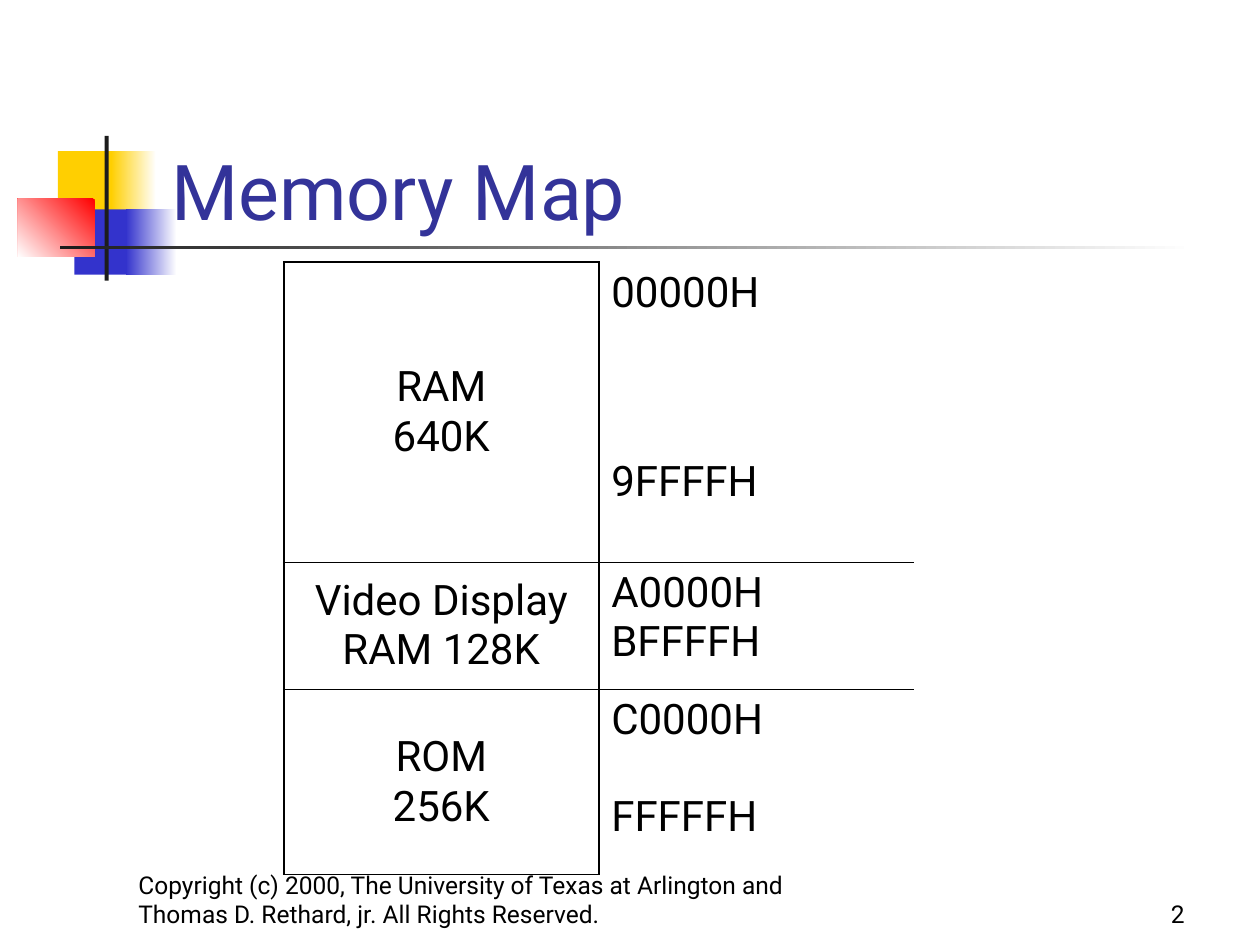
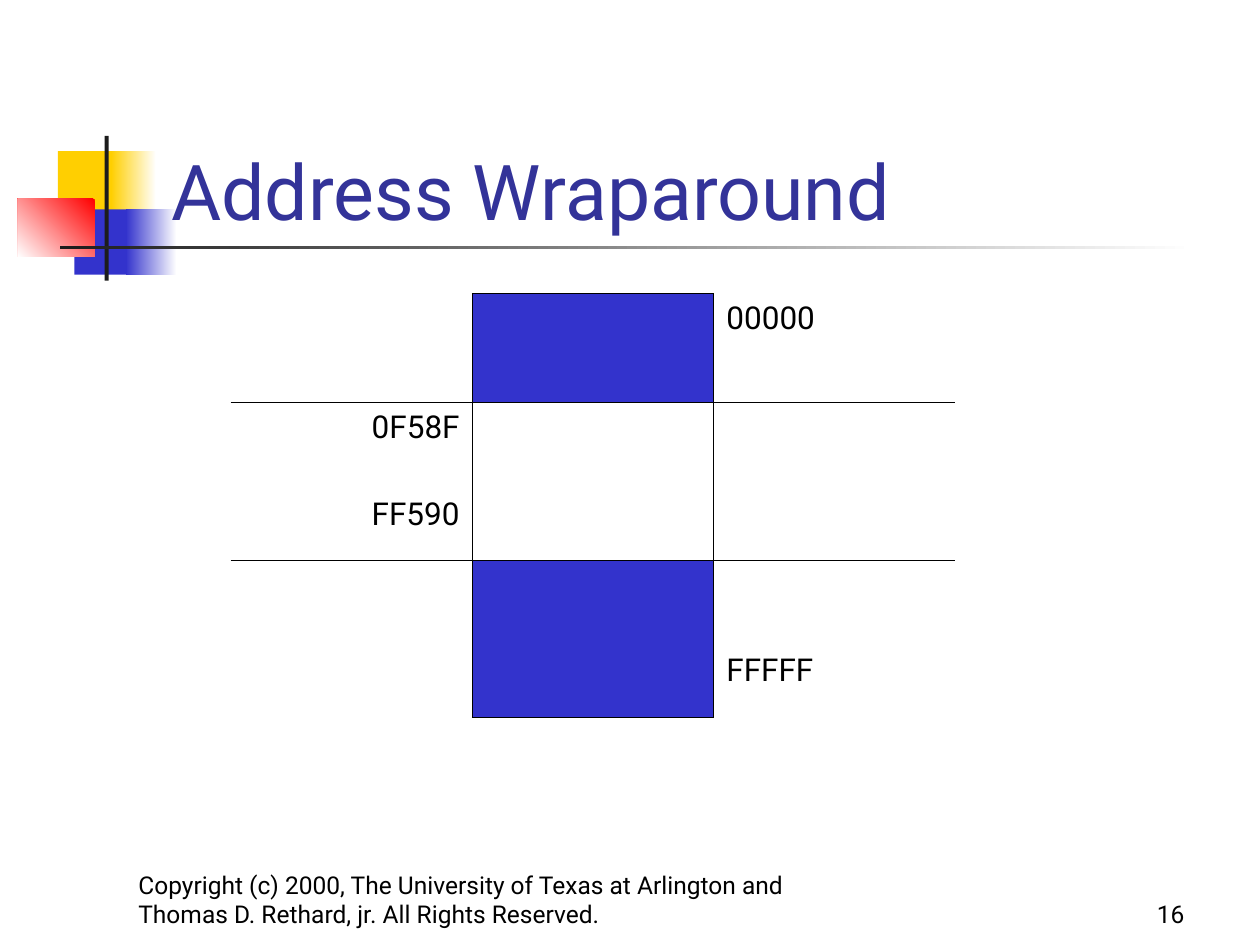
from lxml.etree import SubElement
from pptx import Presentation
from pptx.dml.color import RGBColor
from pptx.enum.shapes import MSO_SHAPE as Shape
from pptx.enum.text import MSO_ANCHOR as Anchor, MSO_AUTO_SIZE as AutoSize, PP_ALIGN as Align
from pptx.oxml.ns import qn
from pptx.util import Cm, Pt

# Shared look: colours, font, boxes in cm (left, top, width, height)
FONT = "Roboto"
BLACK, WHITE, INK = "000000", "FFFFFF", "1C1C1C"
TITLE_BLUE, BLUE, YELLOW, RED = "333399", "3333CC", "FFCF01", "FF0000"
TITLE_BOX = (3.2, 1.7, 21.64, 3.18)
NUMBER_BOX = (18.85, 17.58, 5.28, 1.27)
COPYRIGHT_BOX = (2.54, 17.58, 13.77, 1.27)
COPYRIGHT = ("Copyright (c) 2000, The University of Texas at Arlington and "
             "Thomas D. Rethard, jr. All Rights Reserved.")
THIN, BOLD = 0.45, 1.08

# Title ornament: box, gradient colours (one for a plain fill), angle
ORNAMENT = [
    ((1.17, 3.05, 1.22, 1.32), (YELLOW,), 0),
    ((2.24, 3.05, 0.91, 1.32), (WHITE, YELLOW), 180),
    ((1.5, 4.22, 1.17, 1.32), (BLUE,), 0),
    ((2.54, 4.22, 1.02, 1.32), (WHITE, BLUE), 180),
    ((0.36, 4.01, 1.55, 1.17), (RED, WHITE), 225),
    ((2.11, 2.74, 0.08, 2.92), (INK,), 0),
    ((1.22, 4.95, 22.86, 0.08), (WHITE, INK), 180),
]


def rgb(value):
    return RGBColor.from_string(value)


def cm(box):
    return [Cm(length) for length in box]


def write(frame, *lines, size=14, color=BLACK, align=Align.LEFT, gap=0):
    """Write one paragraph per line, with gap points between them."""
    for index, line in enumerate(lines):
        paragraph = frame.add_paragraph() if index else frame.paragraphs[0]
        paragraph.text = line
        paragraph.alignment = align
        paragraph.space_before = Pt(gap if index else 0)
        for run in paragraph.runs:
            run.font.name = FONT
            run.font.size = Pt(size)
            run.font.color.rgb = rgb(color)


def draw_ornament(slide, layout):
    """Draw the ornament once and hand it to the layout shared by the slides."""
    for holder in list(layout.placeholders)[1:]:
        layout.shapes.element.remove(holder.element)
    for box, colors, angle in ORNAMENT:
        block = slide.shapes.add_shape(Shape.RECTANGLE, *cm(box))
        block.shadow.inherit = False
        block.line.fill.background()
        if len(colors) == 1:
            block.fill.solid()
            block.fill.fore_color.rgb = rgb(colors[0])
        else:
            block.fill.gradient()
            block.fill.gradient_angle = angle
            for stop, color in zip(block.fill.gradient_stops, colors):
                stop.color.rgb = rgb(color)
        layout.shapes.element.append(block.element)


def set_title(slide, text):
    title = slide.shapes.title
    title.left, title.top, title.width, title.height = cm(TITLE_BOX)
    title.text_frame.auto_size = AutoSize.NONE
    title.text_frame.vertical_anchor = Anchor.BOTTOM
    write(title.text_frame, text, size=44, color=TITLE_BLUE)


def add_footer(slide, number):
    for box, text, align in ((NUMBER_BOX, number, Align.RIGHT),
                             (COPYRIGHT_BOX, COPYRIGHT, Align.LEFT)):
        frame = slide.shapes.add_textbox(*cm(box)).text_frame
        frame.word_wrap = True
        frame.vertical_anchor = Anchor.BOTTOM
        write(frame, text, align=align)


def set_borders(cell, widths):
    """Draw the sides named in widths and hide the others."""
    properties = cell._tc.get_or_add_tcPr()
    for side in "LRTB":
        width = widths.get(side, 0)
        line = SubElement(properties, qn(f"a:ln{side}"), w=str(int(Pt(width))))
        if width:
            fill = SubElement(line, qn("a:solidFill"))
            SubElement(fill, qn("a:srgbClr"), val=BLACK)
        else:
            SubElement(line, qn("a:noFill"))


def add_memory_table(slide, corner, columns, rows, memory_column, frame_width):
    """Frame the memory column; beside it only the inner row lines show."""
    box = (*corner, sum(columns), sum(rows))
    table = slide.shapes.add_table(len(rows), len(columns), *cm(box)).table
    table.first_row = table.horz_banding = False
    for column, width in zip(table.columns, columns):
        column.width = Cm(width)
    for row, height in zip(table.rows, rows):
        row.height = Cm(height)
    for r in range(len(rows)):
        for c in range(len(columns)):
            in_memory = c == memory_column
            outer = frame_width if in_memory else 0
            widths = {"T": THIN if r else outer,
                      "B": THIN if r < len(rows) - 1 else outer}
            if c <= memory_column:
                widths["R"] = frame_width
            if c >= memory_column:
                widths["L"] = frame_width
            set_borders(table.cell(r, c), widths)
            table.cell(r, c).fill.background()
    return table


def fill_memory_map(slide):
    areas = [
        ("RAM\v640K", ("00000H", "9FFFFH"), 80),
        ("Video Display\vRAM 128K", ("A0000H\vBFFFFH",), 0),
        ("ROM\v256K", ("C0000H", "FFFFFH"), 27),
    ]
    table = add_memory_table(slide, (5.72, 5.28), [6.35] * 2, [6.05, 2.57, 3.73],
                             memory_column=0, frame_width=BOLD)
    for row, (area, addresses, gap) in enumerate(areas):
        label, limits = table.cell(row, 0), table.cell(row, 1)
        label.vertical_anchor = Anchor.MIDDLE
        write(label.text_frame, area, size=24, align=Align.CENTER)
        write(limits.text_frame, *addresses, size=24, gap=gap)


def fill_wraparound(slide):
    table = add_memory_table(slide, (4.65, 5.92), [4.87] * 3, [2.2, 3.17, 3.17],
                             memory_column=1, frame_width=THIN)
    for row in (0, 2):
        used = table.cell(row, 1)
        used.fill.solid()
        used.fill.fore_color.rgb = rgb(BLUE)
    write(table.cell(0, 2).text_frame, "00000", size=18)
    write(table.cell(1, 0).text_frame, "0F58F", "FF590", size=18,
          align=Align.RIGHT, gap=29)
    last_address = table.cell(2, 2)
    last_address.vertical_anchor = Anchor.BOTTOM
    last_address.margin_bottom = Cm(0.56)
    write(last_address.text_frame, "FFFFF", size=18)


def main():
    deck = Presentation()
    deck.slide_width, deck.slide_height = Cm(25.4), Cm(19.05)
    layout = deck.slide_layouts.get_by_name("Title Only")
    pages = [("Memory Map", "2", fill_memory_map),
             ("Address Wraparound", "16", fill_wraparound)]
    for index, (title, number, fill_content) in enumerate(pages):
        slide = deck.slides.add_slide(layout)
        if index == 0:
            draw_ornament(slide, layout)
        set_title(slide, title)
        fill_content(slide)
        add_footer(slide, number)
    deck.save("out.pptx")


if __name__ == "__main__":
    main()
